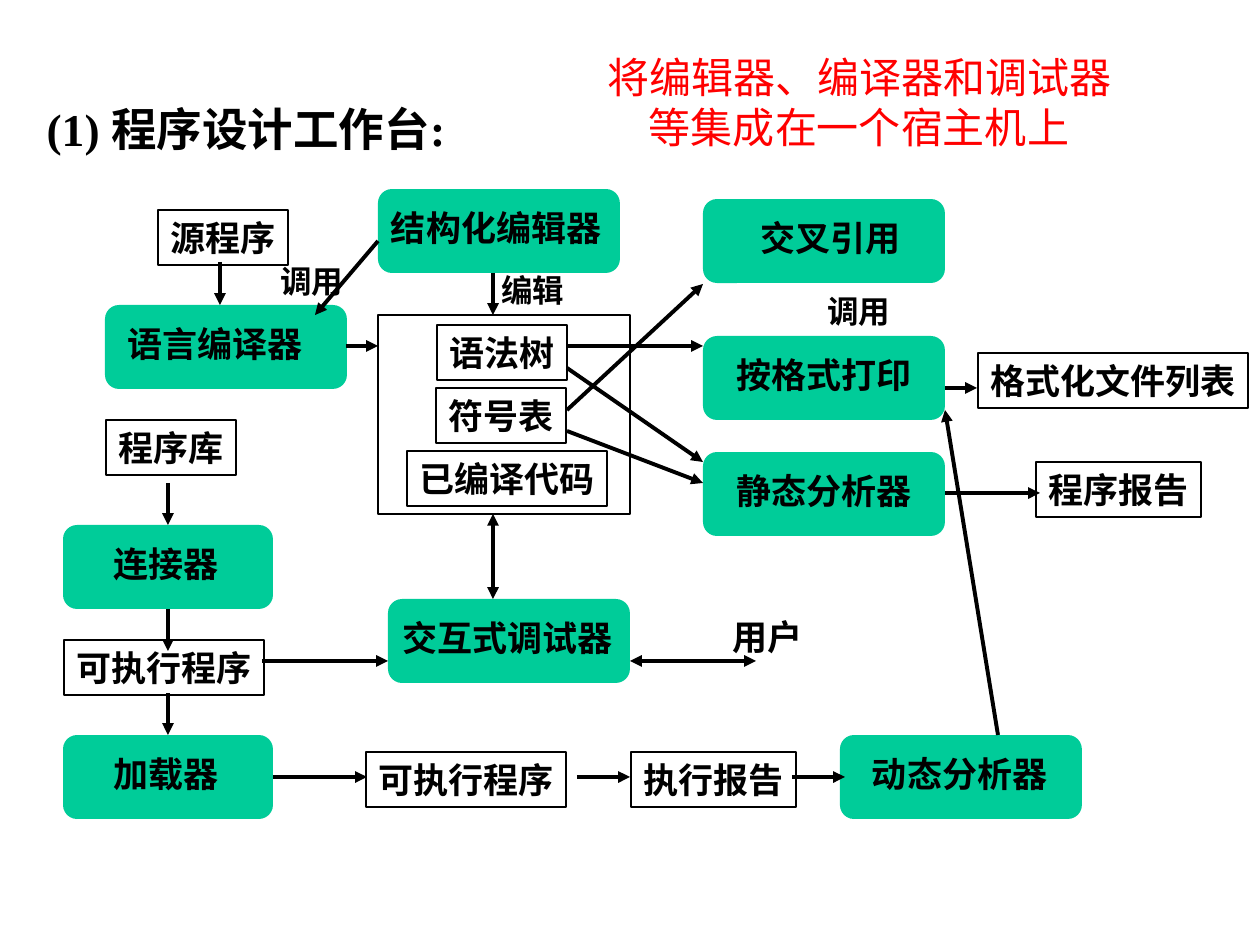
from lxml import etree
from pptx import Presentation
from pptx.dml.color import RGBColor
from pptx.enum.shapes import MSO_CONNECTOR, MSO_SHAPE
from pptx.enum.text import MSO_ANCHOR, MSO_AUTO_SIZE, PP_ALIGN
from pptx.oxml.ns import qn
from pptx.util import Pt

PX = 914400 / 126
BLACK = RGBColor(0, 0, 0)
WHITE = RGBColor(255, 255, 255)
RED = RGBColor(255, 0, 0)
GREEN = RGBColor(0, 204, 153)
LATIN, CJK = "Times New Roman", "Noto Sans CJK SC"

TITLE = "(1) 程序设计工作台:"
REMARK = "将编辑器、编译器和调试器等集成在一个宿主机上"

# Tools: label, left, top, width, text indent
TOOL_HEIGHT = 84
TOOLS = [
    ("语言编译器", 105, 305, 242, 22),
    ("结构化编辑器", 378, 189, 242, 13),
    ("交叉引用", 703, 199, 242, 57),
    ("按格式打印", 703, 336, 242, 33),
    ("静态分析器", 703, 452, 242, 33),
    ("交互式调试器", 388, 599, 242, 14),
    ("动态分析器", 840, 735, 242, 32),
    ("加载器", 63, 735, 210, 50),
    ("连接器", 63, 525, 210, 50),
]

# Data boxes: label, left, top
STORE = (378, 315, 252, 199)
DATA = [
    ("源程序", 158, 210), ("语法树", 437, 325), ("符号表", 436, 388),
    ("已编译代码", 407, 451), ("程序库", 106, 420), ("可执行程序", 64, 640),
    ("可执行程序", 366, 752), ("执行报告", 631, 752),
    ("格式化文件列表", 978, 353), ("程序报告", 1036, 462),
]

# Plain labels: text, left, top, size in points
LABELS = [("用户", 720, 609, 20), ("调用", 268, 256, 18),
          ("编辑", 489, 265, 18), ("调用", 815, 286, 18)]

# Arrows: start and end points
ARROWS = [
    (220, 262, 220, 305), (378, 241, 315, 315), (346, 346, 378, 346),
    (168, 483, 168, 525), (168, 609, 168, 651), (168, 693, 168, 735),
    (262, 661, 388, 661), (273, 777, 367, 777), (577, 777, 630, 777),
    (792, 777, 845, 777), (493, 273, 493, 315), (567, 410, 703, 284),
    (567, 431, 703, 483), (567, 346, 703, 346), (567, 368, 703, 462),
    (998, 735, 945, 410), (945, 493, 1040, 493), (945, 388, 977, 388),
]
TWO_WAY = [(630, 661, 756, 661), (493, 514, 493, 599)]


def px(*lengths):
    return [round(length * PX) for length in lengths]


def write(shape, text, size, color=BLACK, font=LATIN, bold=True,
          align=PP_ALIGN.LEFT, wrap=False):
    frame = shape.text_frame
    frame.text = text
    frame.word_wrap = wrap
    frame.auto_size = MSO_AUTO_SIZE.NONE
    frame.vertical_anchor = MSO_ANCHOR.TOP
    paragraph = frame.paragraphs[0]
    paragraph.alignment = align
    run_font = paragraph.runs[0].font
    run_font.name, run_font.size, run_font.bold = font, Pt(size), bold
    run_font.color.rgb = color
    return frame


def add_box(slide, kind, bounds, fill=None, outlined=True):
    shape = slide.shapes.add_shape(kind, *px(*bounds))
    shape.shadow.inherit = False
    if fill is None:
        shape.fill.background()
    else:
        shape.fill.solid()
        shape.fill.fore_color.rgb = fill
    if outlined:
        shape.line.color.rgb = BLACK
        shape.line.width = Pt(1)
    else:
        shape.line.fill.background()
    return shape


def add_arrow(slide, points, ends):
    arrow = slide.shapes.add_connector(MSO_CONNECTOR.STRAIGHT, *px(*points))
    arrow.line.color.rgb = BLACK
    arrow.line.width = Pt(2.25)
    line = arrow.line._get_or_add_ln()
    for end in ends:
        etree.SubElement(line, qn(f"a:{end}"), type="triangle")
    etree.SubElement(arrow._element.spPr, qn("a:effectLst"))


def main():
    presentation = Presentation()
    presentation.slide_width, presentation.slide_height = px(1260, 945)
    slide = presentation.slides.add_slide(presentation.slide_layouts[5])

    # Title and remark
    title = slide.shapes.title
    title.left, title.top, title.width, title.height = px(34, 95, 446, 68)
    write(title, TITLE, 26)
    remark = slide.shapes.add_textbox(*px(591, 45, 536, 113))
    write(remark, REMARK, 24, RED, CJK, False, PP_ALIGN.CENTER, True)

    # Tools
    for label, left, top, width, indent in TOOLS:
        tool = add_box(slide, MSO_SHAPE.FLOWCHART_ALTERNATE_PROCESS,
                       (left, top, width, TOOL_HEIGHT), GREEN, False)
        frame = write(tool, label, 20, wrap=True)
        # The rounded corners already inset the text by 4 px
        frame.margin_left, frame.margin_top = px(indent - 4, 13)
        frame.margin_right = frame.margin_bottom = 0

    # Data boxes, as wide as their text
    add_box(slide, MSO_SHAPE.RECTANGLE, STORE, WHITE)
    for label, left, top in DATA:
        bounds = (left, top, 35 * len(label) + 25, 55)
        write(add_box(slide, MSO_SHAPE.RECTANGLE, bounds), label, 20)

    # Labels
    for label, left, top, size in LABELS:
        bounds = px(left, top, 1.75 * size * len(label) + 25, 2.5 * size + 5)
        write(slide.shapes.add_textbox(*bounds), label, size)

    # Arrows
    for points in ARROWS:
        add_arrow(slide, points, ["tailEnd"])
    for points in TWO_WAY:
        add_arrow(slide, points, ["headEnd", "tailEnd"])

    presentation.save("out.pptx")


if __name__ == "__main__":
    main()
